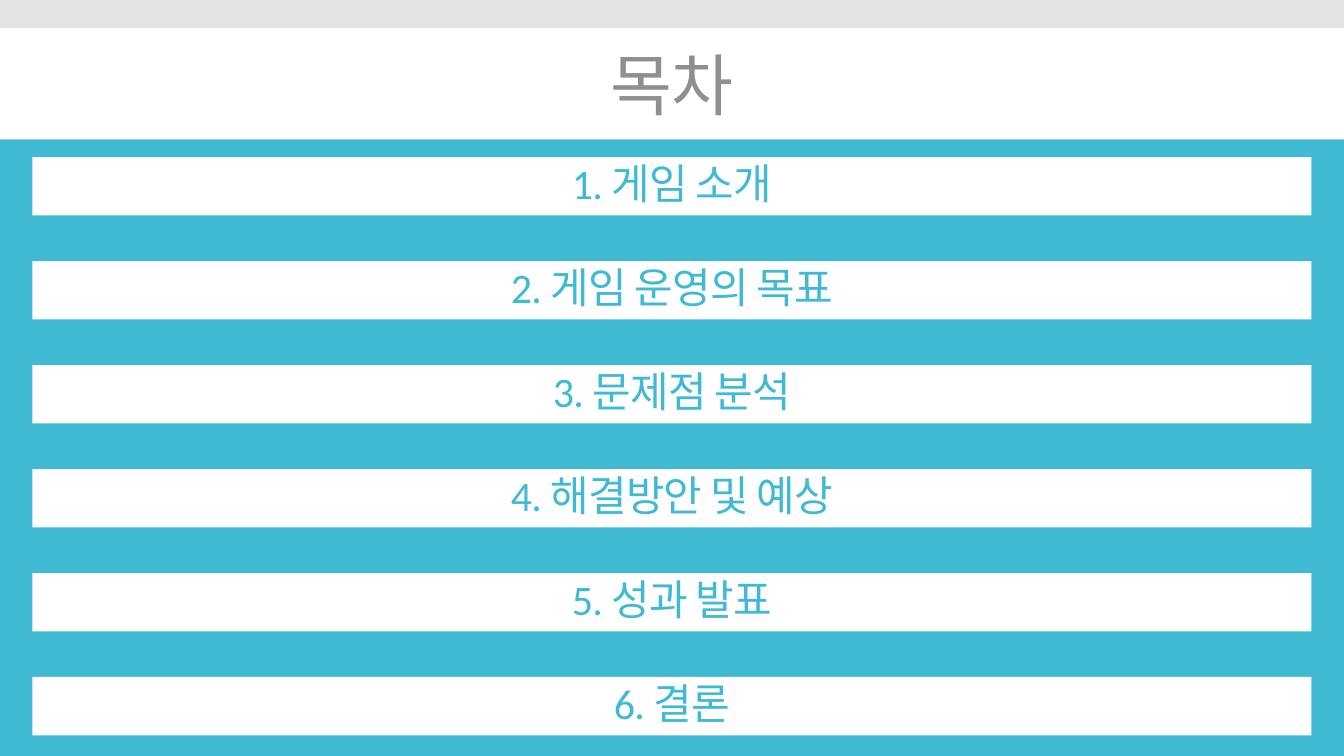
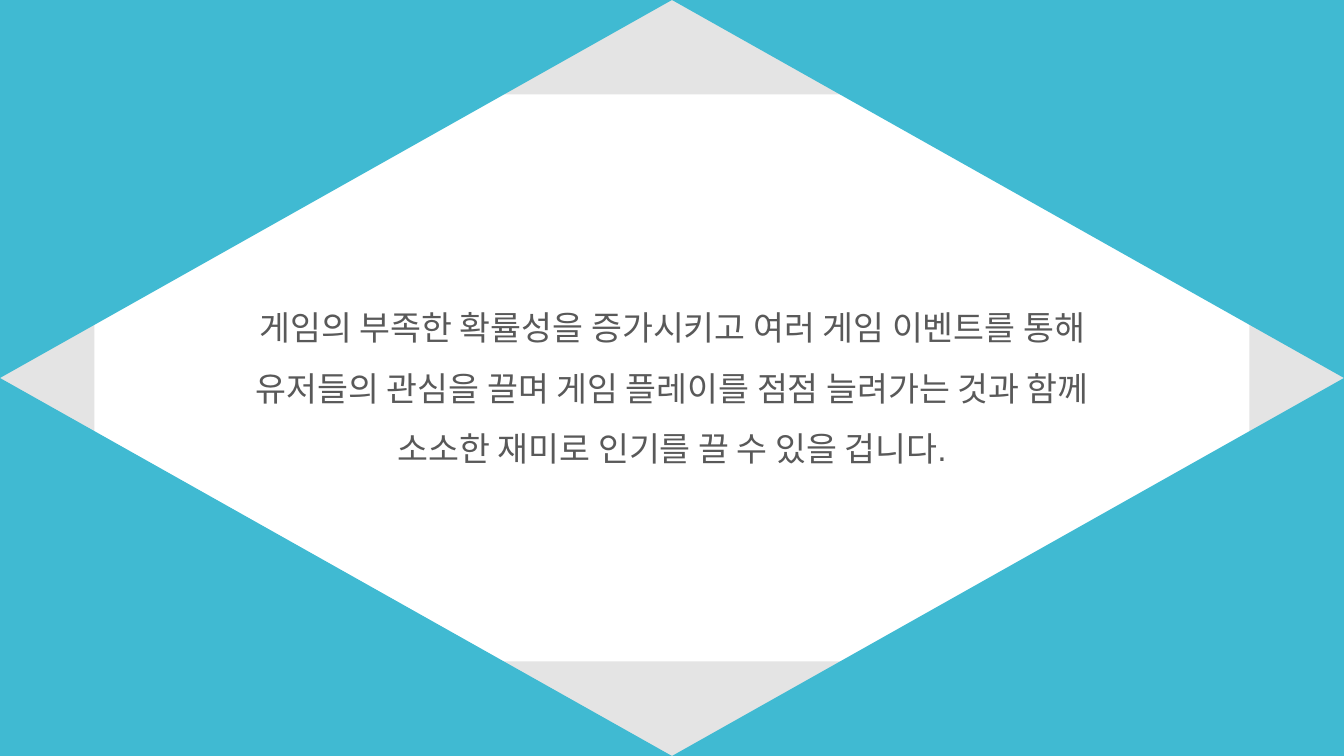
from pptx import Presentation
from pptx.dml.color import RGBColor
from pptx.enum.shapes import MSO_SHAPE as Preset
from pptx.enum.text import MSO_ANCHOR as Anchor, MSO_AUTO_SIZE as AutoSize, PP_ALIGN as Align
from pptx.util import Cm, Pt

TEAL = RGBColor(0x40, 0xBA, 0xD2)
WHITE = RGBColor(0xFF, 0xFF, 0xFF)
LIGHT_GREY = RGBColor(0xE4, 0xE4, 0xE4)
TITLE_GREY = RGBColor(0x8F, 0x8F, 0x8F)
TEXT_GREY = RGBColor(0x59, 0x59, 0x59)

SLIDE_W, SLIDE_H = 33.87, 19.05
TITLE_ONLY, BLANK = 5, 6

TITLE = {"font": {"name": "Calibri", "size": Pt(48)}, "color": TITLE_GREY}
AGENDA = {
    "font": {"name": "Calibri", "size": Pt(30)},
    "color": TEAL,
    "paragraph": {"line_spacing": 0.9},
    "tracking": -60,
}
MESSAGE = {
    "font": {"name": "Arial", "size": Pt(24)},
    "color": TEXT_GREY,
    "paragraph": {"line_spacing": 1.5, "space_before": Pt(12)},
}

AGENDA_ITEMS = ["게임 소개", "게임 운영의 목표", "문제점 분석", "해결방안 및 예상", "성과 발표", "결론"]
CLOSING = (
    "게임의 부족한 확률성을 증가시키고 여러 게임 이벤트를 통해 유저들의 관심을 끌며 "
    "게임 플레이를 점점 늘려가는 것과 함께 소소한 재미로 인기를 끌 수 있을 겁니다."
)


def apply(target, values):
    for name, value in values.items():
        setattr(target, name, value)


class Deck:
    """Holds the presentation, its style and the slide being filled."""

    def __init__(self):
        self.presentation = Presentation()
        apply(self.presentation, {"slide_width": Cm(SLIDE_W), "slide_height": Cm(SLIDE_H)})
        self.slide = None

    def add_slide(self, layout, background):
        self.slide = self.presentation.slides.add_slide(self.presentation.slide_layouts[layout])
        self.paint(self.slide.background, background)

    def paint(self, part, color):
        part.fill.solid()
        part.fill.fore_color.rgb = color

    def set_text(self, holder, text, style):
        """Put one centred paragraph in the middle of a shape."""
        frame = holder.text_frame
        apply(frame, {
            "word_wrap": True,
            "auto_size": AutoSize.NONE,
            "vertical_anchor": Anchor.MIDDLE,
        })
        paragraph = frame.paragraphs[0]
        apply(paragraph, {"alignment": Align.CENTER, **style.get("paragraph", {})})
        run = paragraph.add_run()
        run.text = text
        apply(run.font, style["font"])
        run.font.color.rgb = style["color"]
        if "tracking" in style:
            run.font._element.set("spc", str(style["tracking"]))

    def title(self, text, top, height):
        heading = self.slide.shapes.title
        apply(heading, {"left": 0, "top": Cm(top), "width": Cm(SLIDE_W), "height": Cm(height)})
        self.paint(heading, WHITE)
        self.set_text(heading, text, TITLE)

    def block(self, preset, box, color):
        block = self.slide.shapes.add_shape(preset, *map(Cm, box))
        block.shadow.inherit = False
        block.line.fill.background()
        self.paint(block, color)
        return block

    def text(self, text, box, style):
        self.set_text(self.slide.shapes.add_textbox(*map(Cm, box)), text, style)

    def corner(self, right, bottom):
        """Cover one quarter of the slide with a triangle in its outer corner."""
        width, height = SLIDE_W / 2, SLIDE_H / 2
        triangle = self.block(
            Preset.RIGHT_TRIANGLE, (right * width, bottom * height, width, height), TEAL)
        xfrm = triangle.element.spPr.get_or_add_xfrm()
        for flip, wanted in (("flipH", right), ("flipV", not bottom)):
            if wanted:
                xfrm.set(flip, "1")


def build_agenda(deck):
    band_height, title_height = 0.71, 2.8
    margin, first_top, pitch, bar_height = 0.82, 3.96, 2.62, 1.47
    deck.add_slide(TITLE_ONLY, TEAL)
    deck.block(Preset.RECTANGLE, (0, 0, SLIDE_W, band_height), LIGHT_GREY)
    deck.title("목차", band_height, title_height)
    for index, item in enumerate(AGENDA_ITEMS):
        box = (margin, first_top + index * pitch, SLIDE_W - 2 * margin, bar_height)
        bar = deck.block(Preset.RECTANGLE, box, WHITE)
        deck.set_text(bar, f"{index + 1}. {item}", AGENDA)


def build_closing(deck):
    deck.add_slide(BLANK, WHITE)
    deck.block(Preset.FRAME, (0, 0, SLIDE_W, SLIDE_H), LIGHT_GREY)
    deck.text(CLOSING, (5.84, 7.19, 22.2, 4.65), MESSAGE)
    for bottom in (True, False):
        for right in (False, True):
            deck.corner(right, bottom)


def main():
    deck = Deck()
    build_agenda(deck)
    build_closing(deck)
    deck.presentation.save("out.pptx")


if __name__ == "__main__":
    main()
